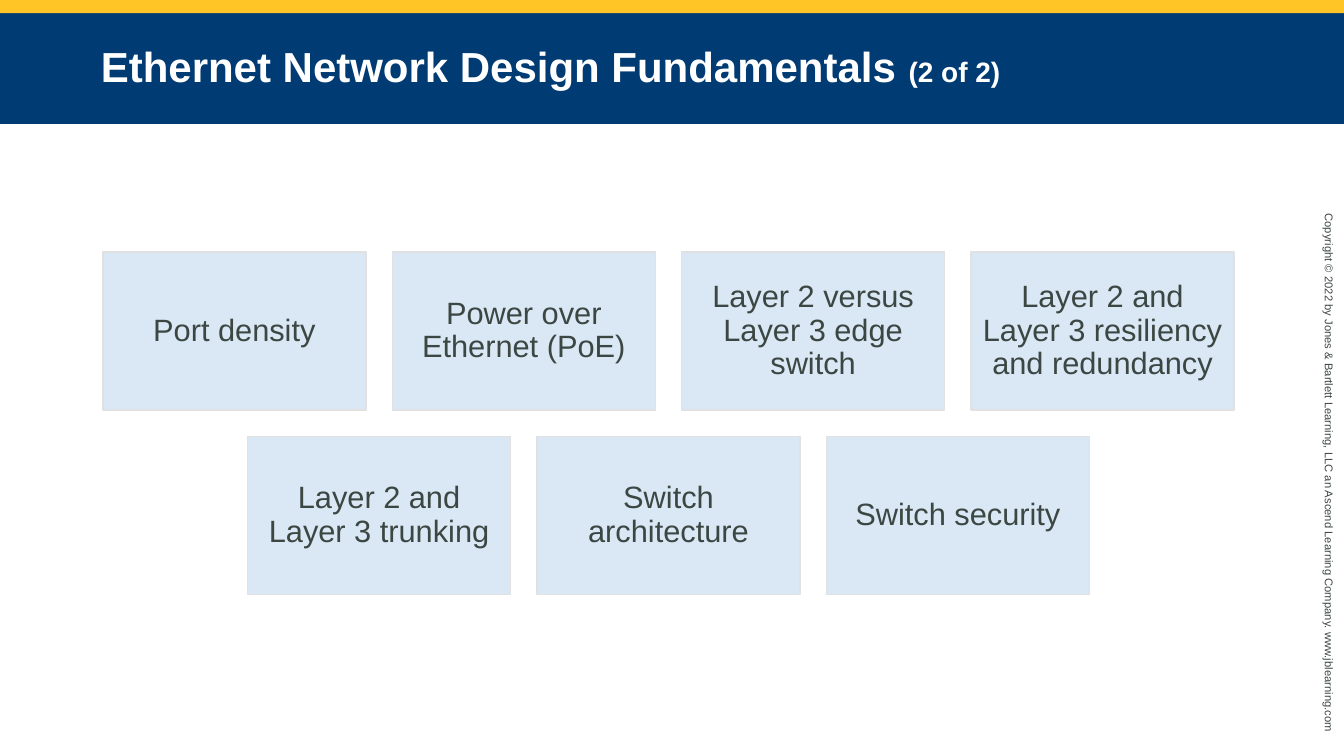
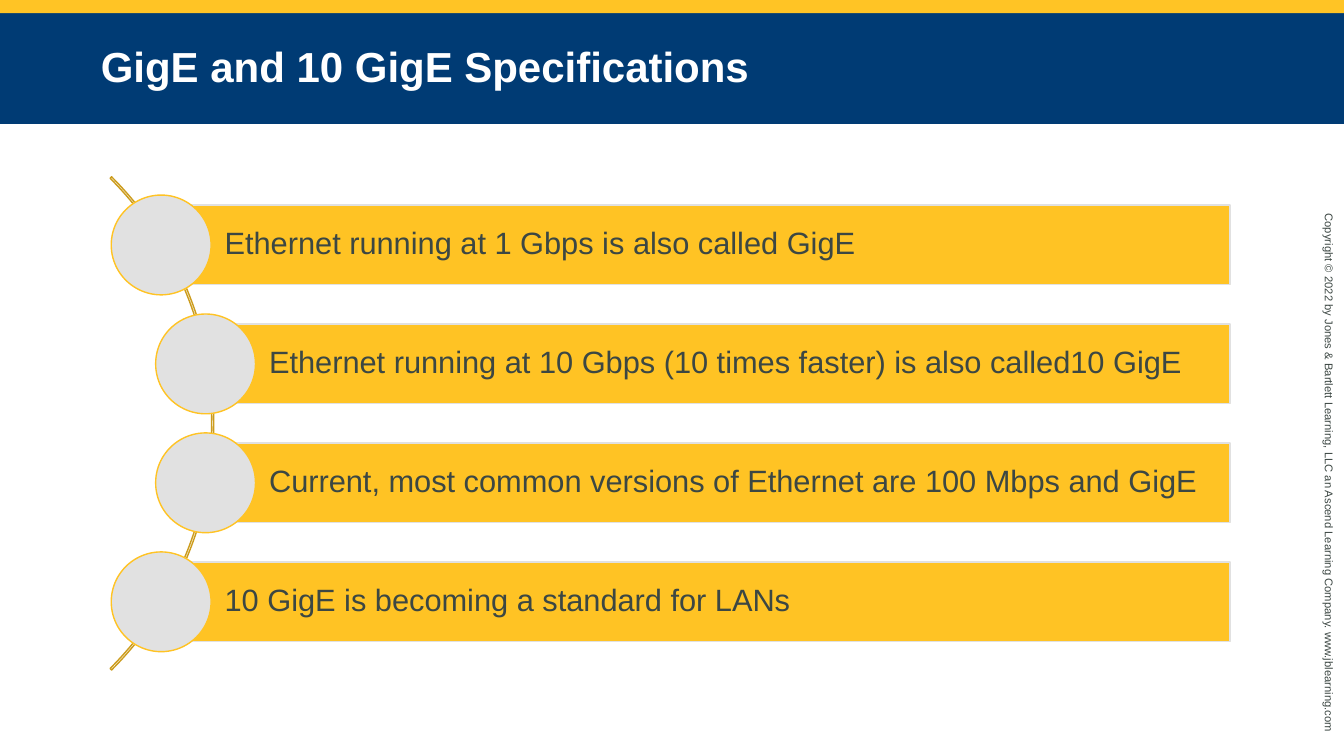
import math

from pptx import Presentation
from pptx.dml.color import RGBColor
from pptx.enum.shapes import MSO_SHAPE
from pptx.enum.text import MSO_ANCHOR, MSO_AUTO_SIZE, PP_ALIGN
from pptx.util import Inches, Pt

RECT, OVAL, ARC = MSO_SHAPE.RECTANGLE, MSO_SHAPE.OVAL, MSO_SHAPE.BLOCK_ARC
LEFT, CENTER = PP_ALIGN.LEFT, PP_ALIGN.CENTER
MIDDLE, TOP = MSO_ANCHOR.MIDDLE, MSO_ANCHOR.TOP

GOLD = RGBColor(0xFF, 0xC4, 0x25)
BAR_GOLD = RGBColor(0xFF, 0xC3, 0x24)
DARK_GOLD = RGBColor(0xCC, 0x9C, 0x1D)
NAVY = RGBColor(0x00, 0x3B, 0x74)
PALE_BLUE = RGBColor(0xD9, 0xE8, 0xF4)
GREY = RGBColor(0xE1, 0xE1, 0xE1)
INK = RGBColor(0x3C, 0x47, 0x43)
WHITE = RGBColor(0xFF, 0xFF, 0xFF)

FONT = "Arial"
SLIDE_W, SLIDE_H = 13.33, 7.5
BAND_H, TITLE_H = 0.13, 1.1

COPYRIGHT = ("Copyright © 2022 by Jones & Bartlett Learning, LLC an Ascend "
             "Learning Company. www.jblearning.com")

DESIGN_TITLE = [("Ethernet Network Design Fundamentals ", 30), ("(2 of 2)", 20)]
DESIGN_ROWS = [
    ["Port density", "Power over Ethernet (PoE)",
     "Layer 2 versus Layer 3 edge switch",
     "Layer 2 and Layer 3 resiliency and redundancy"],
    ["Layer 2 and Layer 3 trunking", "Switch architecture", "Switch security"],
]

SPEC_TITLE = [("GigE and 10 GigE Specifications", 30)]
SPECS = [
    "Ethernet running at 1 Gbps is also called GigE",
    "Ethernet running at 10 Gbps (10 times faster) is also called10 GigE",
    "Current, most common versions of Ethernet are 100 Mbps and GigE",
    "10 GigE is becoming a standard for LANs",
]


def write_text(shape, runs, color=INK, bold=False, align=LEFT, anchor=MIDDLE,
               spacing=0.9, insets=(0.1, 0.05, 0.1, 0.05), fit=MSO_AUTO_SIZE.NONE):
    """Fill a shape with one paragraph of (text, size) runs."""
    tf = shape.text_frame
    tf.word_wrap = True
    tf.auto_size = fit
    tf.vertical_anchor = anchor
    tf.margin_left, tf.margin_top, tf.margin_right, tf.margin_bottom = map(Inches, insets)
    p = tf.paragraphs[0]
    p.alignment = align
    p.line_spacing = spacing
    for text, size in runs:
        r = p.add_run()
        r.text = text
        r.font.name, r.font.size, r.font.bold = FONT, Pt(size), bold
        r.font.color.rgb = color


def add_shape(s, kind, x, y, w, h, fill=None, line=None):
    sp = s.shapes.add_shape(kind, Inches(x), Inches(y), Inches(w), Inches(h))
    sp.shadow.inherit = False
    if fill is None:
        sp.fill.background()
    else:
        sp.fill.solid()
        sp.fill.fore_color.rgb = fill
    if line is None:
        sp.line.fill.background()
    else:
        sp.line.color.rgb = line
        sp.line.width = Pt(1)
    return sp


def add_slide(prs, title_runs):
    """Add a slide with the gold band, side copyright line and navy title."""
    s = prs.slides.add_slide(prs.slide_layouts[5])
    add_shape(s, RECT, 0, 0, SLIDE_W, BAND_H, fill=GOLD)

    side = s.shapes.add_textbox(Inches(10.44), Inches(4.64), Inches(5.48), Inches(0.24))
    side.rotation = 90
    write_text(side, [(COPYRIGHT, 8)], anchor=TOP, spacing=1.0,
               fit=MSO_AUTO_SIZE.SHAPE_TO_FIT_TEXT)

    title = s.shapes.title
    title.left, title.top = Inches(0), Inches(BAND_H)
    title.width, title.height = Inches(SLIDE_W), Inches(TITLE_H)
    title.fill.solid()
    title.fill.fore_color.rgb = NAVY
    write_text(title, title_runs, color=WHITE, bold=True, spacing=0.95,
               insets=(1, 0.05, 1, 0.05))
    return s


def add_tiles(s, rows):
    """Lay out rows of equal tiles, each row centred on the same axis."""
    center_x, top, w, h, gap = 6.63, 2.5, 2.61, 1.57, 0.26
    for i, row in enumerate(rows):
        left = center_x - (len(row) * (w + gap) - gap) / 2
        for j, text in enumerate(row):
            tile = add_shape(s, RECT, left + j * (w + gap), top + i * (h + gap),
                             w, h, fill=PALE_BLUE, line=GREY)
            write_text(tile, [(text, 22)], align=CENTER, insets=(0.09,) * 4)


def add_curved_list(s, items):
    """Stack bars that start at dots placed along a large arc."""
    arc_x, arc_y, arc_d, orbit = -1.34, 4.2, 6.92, 3.43
    bar_right, bar_h, pitch, dot_d = 12.2, 0.79, 1.18, 0.99

    arc = add_shape(s, ARC, arc_x - arc_d / 2, arc_y - arc_d / 2, arc_d, arc_d,
                    line=DARK_GOLD)
    for i, value in enumerate((189, 27, 0.003)):
        arc.adjustments[i] = value

    for i, text in enumerate(items):
        dy = (i - (len(items) - 1) / 2) * pitch
        x, y = arc_x + math.sqrt(orbit ** 2 - dy ** 2), arc_y + dy
        bar = add_shape(s, RECT, x, y - bar_h / 2, bar_right - x, bar_h,
                        fill=BAR_GOLD, line=GREY)
        write_text(bar, [(text, 22)], insets=(0.63, 0.06, 0.06, 0.06))
        add_shape(s, OVAL, x - dot_d / 2, y - dot_d / 2, dot_d, dot_d,
                  fill=GREY, line=BAR_GOLD)


def main():
    prs = Presentation()
    prs.slide_width, prs.slide_height = Inches(SLIDE_W), Inches(SLIDE_H)
    add_tiles(add_slide(prs, DESIGN_TITLE), DESIGN_ROWS)
    add_curved_list(add_slide(prs, SPEC_TITLE), SPECS)
    prs.save("out.pptx")


if __name__ == "__main__":
    main()
